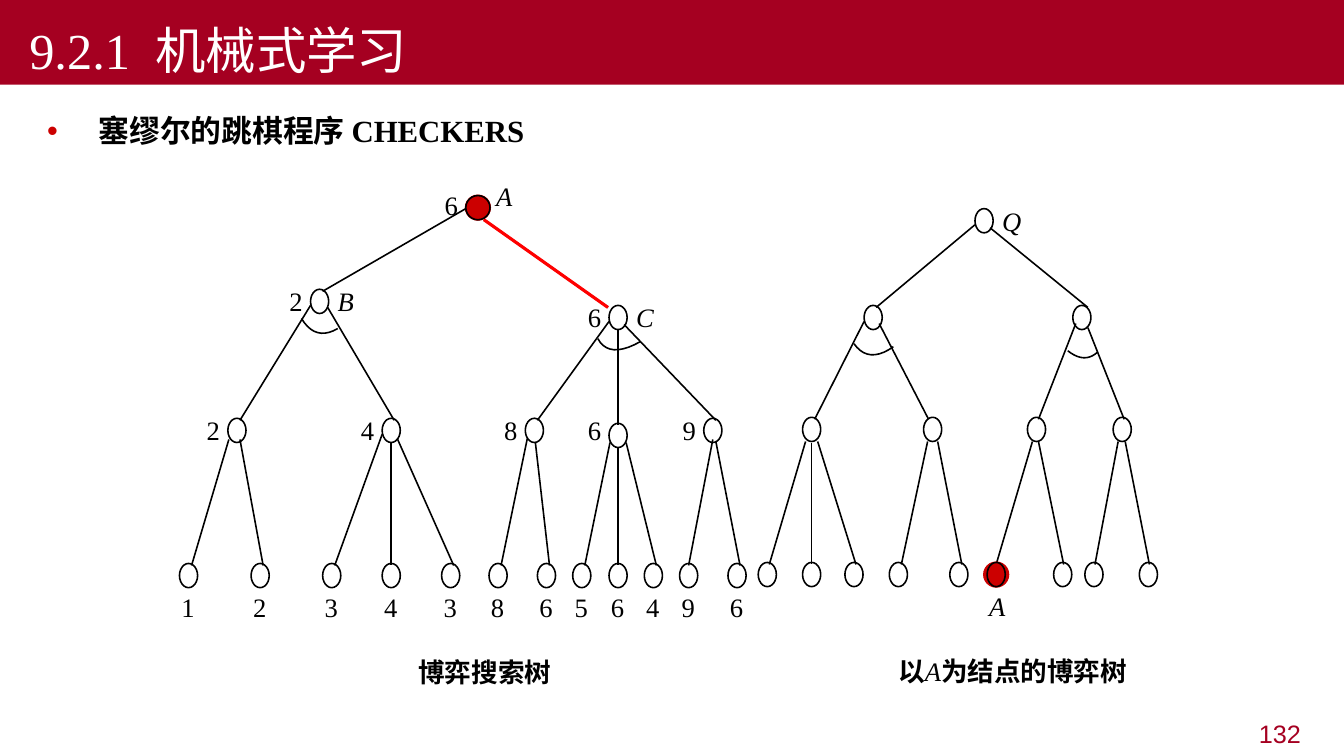
import dataclasses

import pptx
import pptx.dml.color
import pptx.enum.shapes
import pptx.enum.text
import pptx.oxml
import pptx.oxml.ns
import pptx.util
from pptx.util import Inches, Pt

ALIGN = pptx.enum.text.PP_ALIGN
ANCHOR = pptx.enum.text.MSO_ANCHOR
NAMESPACE = pptx.oxml.ns.nsdecls("a")


@dataclasses.dataclass(frozen=True)
class Theme:
    banner: str = "A50021"
    accent: str = "CC0000"
    chosen_path: str = "FF0000"
    ink: str = "000000"
    paper: str = "FFFFFF"
    latin: str = "Times New Roman"
    chinese: str = "Noto Sans CJK SC"
    number_font: str = "Arial"
    title_size: float = 36
    bullet_size: float = 22
    label_size: float = 19
    number_size: float = 18
    line: float = 1.13


THEME = Theme()


@dataclasses.dataclass
class Node:
    """Tree node: centre in its box; start is the edge's offset from the parent's centre."""
    x: float
    y: float
    value: str = ""
    name: str = ""
    start: tuple = (0, 0)
    reach: float = 0.03
    children: tuple = ()
    arc: tuple = ()
    marked: bool = False
    chosen: bool = False
    width: float = 0.18
    value_lift: float = 0
    name_lift: float = 0


def leaves(y, *rows, reach=0.03):
    return tuple(Node(x, y, value, start=start, reach=reach if start[0] else 0)
                 for x, value, start in rows)


GAME_TREE = Node(2.94, 0.26, "6", "A", marked=True, width=0.24, value_lift=0.03, name_lift=0.12, children=(
    Node(1.37, 1.19, "2", "B", (-0.12, 0.01), arc=((0.18, 0.27), (-0.02, 0.31), (-0.18, 0.17)), children=(
        Node(0.55, 2.47, "2", start=(-0.09, 0.04), children=leaves(
            3.91, (0.07, "1", (-0.08, 0.09)), (0.78, "2", (0.03, 0.09)))),
        Node(2.08, 2.47, "4", start=(0.08, 0.06), children=leaves(
            3.91, (1.49, "3", (-0.09, 0.04)), (2.08, "4", (0, 0.12)), (2.67, "3", (0.06, 0.08)))),
    )),
    Node(4.33, 1.35, "6", "C", (0.06, 0.12), -0.1, chosen=True,
         arc=((0.22, 0.24), (-0.04, 0.32), (-0.2, 0.21)), children=(
        Node(3.5, 2.47, "8", start=(-0.09, 0.04), children=leaves(
            3.91, (3.14, "8", (-0.07, 0.08)), (3.62, "6", (0.01, 0.12)))),
        Node(4.33, 2.52, "6", start=(0, 0.11), reach=0, value_lift=0.05, children=leaves(
            3.91, (3.97, "5", (-0.08, 0.07)), (4.33, "6", (0, 0.12)), (4.68, "4", (0.08, 0.07)))),
        Node(5.27, 2.47, "9", start=(0.06, 0.07), children=leaves(
            3.91, (5.03, "9", (0, 0.09)), (5.51, "6", (0.03, 0.11)))),
    )),
))

ROOTED_TREE = Node(2.26, 0.39, name="Q", children=(
    Node(1.16, 1.35, start=(-0.09, 0.04), arc=((0.2, 0.29), (-0.02, 0.37), (-0.19, 0.26)), children=(
        Node(0.55, 2.46, start=(-0.09, 0.04), children=leaves(
            3.9, (0.11, "", (-0.06, 0.12)), (0.55, "", (0, 0.14)), (0.97, "", (0.06, 0.12)), reach=0.02)),
        Node(1.75, 2.46, start=(0.06, 0.06), reach=-0.04, children=leaves(
            3.9, (1.41, "", (-0.05, 0.12)), (2.01, "", (0.05, 0.12)))),
    )),
    Node(3.23, 1.35, start=(0.06, 0.07), reach=0.06,
         arc=((0.16, 0.34), (0.02, 0.4), (-0.14, 0.33)), children=(
        Node(2.78, 2.46, start=(-0.06, 0.06), reach=0.02, children=(
            Node(2.38, 3.9, name="A", start=(-0.04, 0.12), reach=0, marked=True),
            *leaves(3.9, (3.04, "", (0.02, 0.12)), reach=0.01))),
        Node(3.63, 2.46, start=(0.06, 0.1), reach=0.02, children=leaves(
            3.9, (3.35, "", (-0.04, 0.12)), (3.89, "", (0.03, 0.12)), reach=0.01)),
    )),
))


def color(value):
    return pptx.dml.color.RGBColor.from_string(value)


def set_values(target, values):
    for name, value in values.items():
        setattr(target, name, value)


def add_run(paragraph, text, size, ink=THEME.ink, **values):
    run = paragraph.add_run()
    run.text = text
    set_values(run.font, {"name": THEME.latin, "size": Pt(size), **values})
    run.font.color.rgb = color(ink)
    run.font._element.append(pptx.oxml.parse_xml(
        f'<a:ea {NAMESPACE} typeface="{THEME.chinese}"/>'))


def add_label(slide, left, top, width, *runs):
    """Add an unpadded one-line label; each run is (text, font values)."""
    frame = slide.shapes.add_textbox(Inches(left), Inches(top), Inches(width), Inches(0.32)).text_frame
    set_values(frame, {"margin_left": 0, "margin_top": 0, "margin_right": 0,
                       "margin_bottom": 0, "word_wrap": False})
    for text, values in runs:
        add_run(frame.paragraphs[0], text, THEME.label_size, **values)


def add_edge(slide, start, end, ink=THEME.ink, width=THEME.line):
    edge = slide.shapes.add_connector(pptx.enum.shapes.MSO_CONNECTOR.STRAIGHT,
                                      *(Inches(value) for value in (*start, *end)))
    edge.line.color.rgb = color(ink)
    edge.line.width = Pt(width)
    edge._element.spPr.append(pptx.oxml.parse_xml(f"<a:effectLst {NAMESPACE}/>"))


def outline(shape, ink=THEME.ink, width=THEME.line):
    shape.shadow.inherit = False
    shape.fill.background()
    shape.line.color.rgb = color(ink)
    shape.line.width = Pt(width)


def add_ellipse(slide, x, y, width, height):
    shape = slide.shapes.add_shape(pptx.enum.shapes.MSO_SHAPE.OVAL, Inches(x - width / 2),
                                   Inches(y - height / 2), Inches(width), Inches(height))
    outline(shape)
    return shape


def add_arc(slide, x, y, arc):
    """Draw a smooth AND-arc through its right, lowest and left points."""
    def point(t):
        weights = ((1 - t) * (1 - 2 * t), 4 * t * (1 - t), t * (2 * t - 1))
        return tuple(Inches(centre + sum(weight * knot[axis] for weight, knot in zip(weights, arc)))
                     for axis, centre in enumerate((x, y)))

    builder = slide.shapes.build_freeform(*point(0), scale=1.0)
    builder.add_line_segments([point(step / 10) for step in range(1, 11)], close=False)
    outline(builder.convert_to_shape())


def add_tree(slide, left, top, node):
    """Draw a node and everything below it in the box at left, top."""
    x, y = left + node.x, top + node.y
    if node.marked:
        disk = add_ellipse(slide, x, y, 0.25, 0.25)
        outline(disk, THEME.accent, 0.75)
        disk.fill.solid()
        disk.fill.fore_color.rgb = color(THEME.accent)
    for child in node.children:
        start = (x + child.start[0], y + child.start[1])
        end = (left + child.x + child.reach, top + child.y - 0.1)
        if child.chosen:
            add_edge(slide, start, end, width=1.5)
            add_edge(slide, start, end, THEME.chosen_path, 2.25)
        else:
            add_edge(slide, start, end)
        add_tree(slide, left, top, child)
    add_ellipse(slide, x, y, node.width, 0.24)
    if node.arc:
        add_arc(slide, x, y, node.arc)
    for text, side, lift, values in ((node.value, -0.21 - node.width / 2, node.value_lift, {}),
                                     (node.name, 0.18, node.name_lift, {"italic": True})):
        if text:
            offset = (side, -0.16 - lift) if node.children else (-0.07, 0.15)
            add_label(slide, x + offset[0], y + offset[1], 0.16, (text, values))


def add_title(slide, left, top, width, height):
    title = slide.shapes.title
    set_values(title, {"left": Inches(left), "top": Inches(top),
                       "width": Inches(width), "height": Inches(height)})
    title.fill.solid()
    title.fill.fore_color.rgb = color(THEME.banner)
    set_values(title.text_frame, {"vertical_anchor": ANCHOR.BOTTOM, "word_wrap": True,
                                  "auto_size": pptx.enum.text.MSO_AUTO_SIZE.NONE})
    paragraph = title.text_frame.paragraphs[0]
    paragraph.alignment = ALIGN.LEFT
    paragraph._p.get_or_add_pPr().set("indent", str(Inches(0.19)))
    add_run(paragraph, "9.2.1  机械式学习", THEME.title_size, THEME.paper)


def add_bullet(slide, left, top, width, height):
    frame = slide.shapes.add_textbox(Inches(left), Inches(top), Inches(width), Inches(height)).text_frame
    frame.word_wrap = True
    paragraph = frame.paragraphs[0]
    paragraph.line_spacing = 1.2
    properties = paragraph._p.get_or_add_pPr()
    properties.set("marL", str(Inches(0.51)))
    properties.set("indent", str(-Inches(0.51)))
    for xml in (f'<a:buClr {NAMESPACE}><a:srgbClr val="{THEME.accent}"/></a:buClr>',
                f'<a:buFont {NAMESPACE} typeface="Arial"/>', f'<a:buChar {NAMESPACE} char="•"/>'):
        properties.append(pptx.oxml.parse_xml(xml))
    add_run(paragraph, "塞缪尔的跳棋程序 CHECKERS", THEME.bullet_size, bold=True)


def add_page_number(slide, left, top, width, height):
    frame = slide.shapes.add_textbox(Inches(left), Inches(top), Inches(width), Inches(height)).text_frame
    frame.word_wrap = True
    frame.paragraphs[0].alignment = ALIGN.RIGHT
    add_run(frame.paragraphs[0], "132", THEME.number_size, THEME.banner, name=THEME.number_font)


def main():
    presentation = pptx.Presentation()
    set_values(presentation, {"slide_width": Inches(13.33), "slide_height": Inches(7.5)})
    slide = presentation.slides.add_slide(presentation.slide_layouts[5])
    add_title(slide, 0, 0, 13.33, 0.84)
    add_bullet(slide, 0.37, 0.99, 12.6, 5.91)
    add_tree(slide, 1.8, 1.8, GAME_TREE)
    add_tree(slide, 7.5, 1.8, ROOTED_TREE)
    chinese = {"name": THEME.chinese, "bold": True}
    add_label(slide, 4.15, 6.51, 1.52, ("博弈搜索树", chinese))
    add_label(slide, 8.91, 6.5, 2.8, ("以", chinese), ("A", {"italic": True}), ("为结点的博弈树", chinese))
    add_page_number(slide, 10.11, 7.08, 2.89, 0.39)
    presentation.save("out.pptx")


if __name__ == "__main__":
    main()
